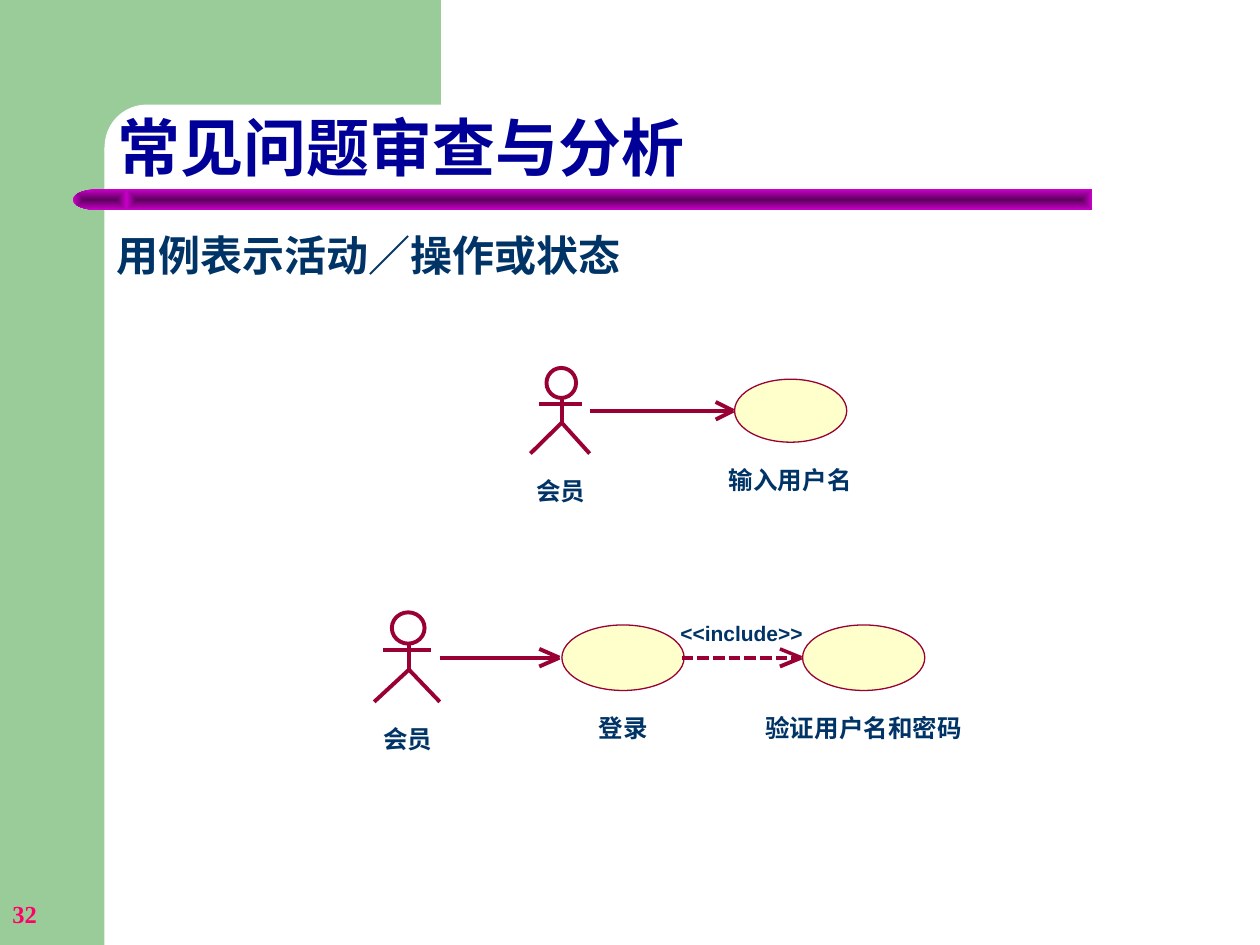
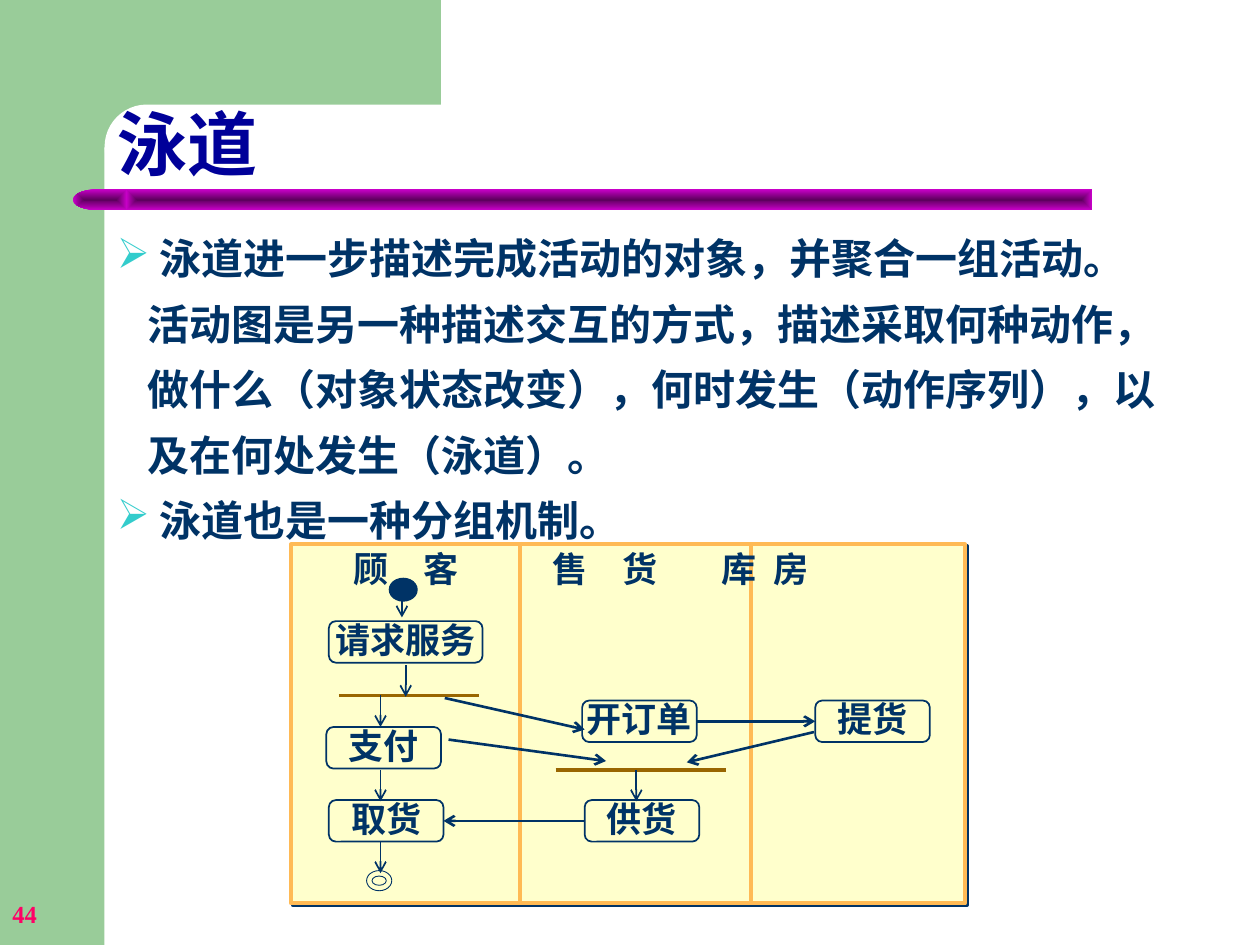
from lxml import etree
from pptx import Presentation
from pptx.dml.color import RGBColor
from pptx.enum.dml import MSO_LINE
from pptx.enum.shapes import MSO_CONNECTOR, MSO_SHAPE
from pptx.enum.text import MSO_ANCHOR, MSO_AUTO_SIZE, PP_ALIGN
from pptx.oxml import parse_xml
from pptx.oxml.ns import nsdecls, qn
from pptx.util import Inches, Pt

RECT, ROUND = MSO_SHAPE.RECTANGLE, MSO_SHAPE.ROUNDED_RECTANGLE
OVAL, DONUT = MSO_SHAPE.OVAL, MSO_SHAPE.DONUT
DELAY = MSO_SHAPE.FLOWCHART_DELAY
STRAIGHT = MSO_CONNECTOR.STRAIGHT
DASH = MSO_LINE.SQUARE_DOT
TOP, MID, LOW = MSO_ANCHOR.TOP, MSO_ANCHOR.MIDDLE, MSO_ANCHOR.BOTTOM
LEFT, CENTER = PP_ALIGN.LEFT, PP_ALIGN.CENTER
FIXED = MSO_AUTO_SIZE.NONE

COLORS = {
    "green": "99CC99", "white": "FFFFFF", "title": "000099", "ink": "003366",
    "page": "FF0066", "dark": "5E005E", "violet": "CC00CC", "mark": "33CCCC",
    "uml": "990033", "cream": "FFFFCC", "lane": "FFBA55", "bar": "996600",
}
HAN, HAN_TITLE = "Noto Sans CJK SC", "Noto Sans CJK JP"
LATIN, SERIF = "Arial", "Times New Roman"


def rgb(name):
    return RGBColor.from_string(COLORS[name])


# Basic parts
def shape(slide, kind, box, fill=None, line=None, width=0, adj=None):
    part = slide.shapes.add_shape(kind, *map(Inches, box))
    if adj is not None:
        part.adjustments[0] = adj
    paint(part, fill, line, width)
    return part


def paint(part, fill, line, width):
    part.shadow.inherit = False
    if fill:
        part.fill.solid()
        part.fill.fore_color.rgb = rgb(fill)
    else:
        part.fill.background()
    if line:
        part.line.color.rgb = rgb(line)
        part.line.width = Pt(width)
    else:
        part.line.fill.background()


def link(slide, start, end, color, width, head=False, dash=None):
    wire = slide.shapes.add_connector(STRAIGHT, *map(Inches, (*start, *end)))
    wire.line.color.rgb = rgb(color)
    wire.line.width = Pt(width)
    if dash:
        wire.line.dash_style = dash
    if head:
        tail = etree.SubElement(wire.line._get_or_add_ln(), qn("a:tailEnd"))
        tail.set("type", "arrow")
    etree.SubElement(wire._element.spPr, qn("a:effectLst"))
    return wire


def frame(part, anchor=TOP, pads=(0, 0, 0, 0), wrap=False):
    body = part.text_frame
    values = {"auto_size": FIXED, "word_wrap": wrap, "vertical_anchor": anchor}
    sides = ("left", "top", "right", "bottom")
    values |= {f"margin_{side}": Inches(pad) for side, pad in zip(sides, pads)}
    for name, value in values.items():
        setattr(body, name, value)
    return body


def write(para, words, size, font=HAN, color="ink", gap=1.0, align=LEFT):
    for name, value in {"line_spacing": gap, "alignment": align}.items():
        setattr(para, name, value)
    run = para.add_run()
    run.text = words
    for name, value in {"size": Pt(size), "name": font, "bold": True}.items():
        setattr(run.font, name, value)
    run.font.color.rgb = rgb(color)
    han = font if font == HAN_TITLE else HAN
    etree.SubElement(run.font._element, qn("a:ea")).set("typeface", han)


def label(slide, box, words, size, font=HAN, color="ink", lead=1.3, **style):
    part = slide.shapes.add_textbox(*map(Inches, box))
    para = frame(part, **style).paragraphs[0]
    write(para, words, size, font, color, Pt(size * lead))
    return para


# Shared frame: corner bands, page number, rule, title
def rule(slide, x, y):
    fill = (f'<a:gradFill {nsdecls("a")}><a:gsLst>'
            f'<a:gs pos="0"><a:srgbClr val="{COLORS["dark"]}"/></a:gs>'
            f'<a:gs pos="100000"><a:srgbClr val="{COLORS["violet"]}"/></a:gs>'
            '</a:gsLst><a:path path="rect"><a:fillToRect l="50000" t="50000" '
            'r="50000" b="50000"/></a:path></a:gradFill>')
    bar = shape(slide, ROUND, (x + 0.42, y, 7.67, 0.17), adj=0)
    cap = shape(slide, DELAY, (x, y, 0.43, 0.17))
    cap._element.spPr.find(qn("a:xfrm")).set("flipH", "1")
    for part in (bar, cap):
        props = part._element.spPr
        props.replace(props.find(qn("a:noFill")), parse_xml(fill))


def base(deck, title, size, font, page):
    slide = deck.slides.add_slide(deck.slide_layouts[5])
    shape(slide, RECT, (0, 0, 0.83, 7.5), "green")
    shape(slide, RECT, (0.75, 0, 2.75, 1.17), "green")
    shape(slide, ROUND, (0.83, 0.83, 5.58, 0.67), "white", adj=0.5)
    label(slide, (0, 7.01, 2.08, 0.5), page, 14, SERIF, "page", 1.15,
          anchor=MID, pads=(0.1, 0.05, 0.1, 0.05))
    rule(slide, 0.58, 1.5)
    head = slide.shapes.title
    head._element.getparent().append(head._element)
    spots = {"left": 0.83, "top": 0.86, "width": 8.5, "height": 0.63}
    for name, value in spots.items():
        setattr(head, name, Inches(value))
    body = frame(head, LOW, (0.1, 0.05, 0.1, 0.02), True)
    write(body.paragraphs[0], title, size, font, "title", 0.9)
    return slide


# Use case parts
def actor(slide, x, y, w, h):
    def spot(across, down):
        return x + across * w, y + down * h

    shape(slide, OVAL, (*spot(0.27, 0), 0.5 * w, 0.35 * h), None, "uml", 2.25)
    link(slide, spot(0.53, 0.34), spot(0.53, 0.64), "uml", 0)
    link(slide, spot(0.14, 0.42), spot(0.87, 0.42), "uml", 2.25)
    foot, hip, toe = [tuple(map(Inches, spot(*at)))
                      for at in ((0, 1), (0.53, 0.64), (1, 1))]
    pen = slide.shapes.build_freeform(*foot)
    pen.add_line_segments([hip, toe], close=False)
    paint(pen.convert_to_shape(), None, "uml", 2.25)
    label(slide, (x + w / 2 - 0.19, y + h + 0.16, 0.39, 0.23), "会员", 14)


def arrow(slide, x, y, w, barb, upper=2.25, dash=None):
    tip = (x + w, y)
    link(slide, (x, y), tip, "uml", 2.25, dash=dash)
    for rise, width in ((0.07, 2.25), (-0.07, upper)):
        link(slide, tip, (x + w - barb, y + rise), "uml", width)


def case(slide, x, y, w, h, words, wide):
    shape(slide, OVAL, (x, y, w, h), "cream", "uml")
    label(slide, (x + (w - wide) / 2, y + h + 0.16, wide, 0.23), words, 14)


def login(slide, x, y):
    actor(slide, x, y, 0.52, 0.71)
    arrow(slide, x + 0.52, y + 0.36, 0.95, 0.16)
    case(slide, x + 1.49, y + 0.1, 0.97, 0.52, "登录", 0.39)
    arrow(slide, x + 2.44, y + 0.36, 0.95, 0.17, 0, DASH)
    case(slide, x + 3.4, y + 0.1, 0.97, 0.52, "验证用户名和密码", 1.56)
    label(slide, (x + 2.43, y + 0.07, 0.97, 0.2), "<<include>>", 12, LATIN,
          lead=1.15)


def entry(slide, x, y):
    actor(slide, x, y, 0.47, 0.68)
    arrow(slide, x + 0.47, y + 0.34, 1.14, 0.14)
    case(slide, x + 1.62, y + 0.09, 0.89, 0.5, "输入用户名", 0.98)


# Swimlane parts
def bullets(slide, box, lines):
    body = frame(slide.shapes.add_textbox(*map(Inches, box)),
                 pads=(0.1, 0.05, 0.1, 0.05), wrap=True)
    for i, words in enumerate(lines):
        para = body.add_paragraph() if i else body.paragraphs[0]
        props = para._p.get_or_add_pPr()
        props.set("marL", str(Inches(0.24)))
        props.set("indent", str(-Inches(0.24)))
        tint = etree.SubElement(props, qn("a:buClr"))
        etree.SubElement(tint, qn("a:srgbClr")).set("val", COLORS["mark"])
        etree.SubElement(props, qn("a:buChar")).set("char", "➢")
        write(para, words, 24, gap=Pt(37.4))


def heads(slide, box):
    para = label(slide, box, "顾　客\t售　货\t库\t房", 20,
                 pads=(0.1, 0.05, 0.1, 0.05), wrap=True)
    tabs = etree.SubElement(para._p.get_or_add_pPr(), qn("a:tabLst"))
    for stop in (1.58, 2.92, 3.33):
        tab = etree.SubElement(tabs, qn("a:tab"))
        tab.set("pos", str(Inches(stop)))
        tab.set("algn", "l")


def lanes(slide, x, y, w, h):
    def spot(across, down):
        return x + across, y + down

    # Panel with a hard shadow, dividers, headings
    panel = shape(slide, RECT, (x, y, w, h), "cream", "lane", 2.25)
    cast = etree.SubElement(panel._element.spPr.find(qn("a:effectLst")),
                            qn("a:outerShdw"))
    for name, value in {"dist": Pt(1.4), "dir": 45 * 60000}.items():
        cast.set(name, str(value))
    etree.SubElement(cast, qn("a:srgbClr")).set("val", COLORS["ink"])
    for left, top in ((1.82, -0.02), (3.65, 0)):
        link(slide, spot(left, top), spot(left, top + h), "lane", 2.25)
    heads(slide, (*spot(0.4, -0.05), 4.97, 0.4))

    # Activities
    steps = {}
    for words, left, top, wide in (
            ("请求服务", 0.3, 0.61, 1.22), ("支付", 0.28, 1.45, 0.91),
            ("取货", 0.3, 2.03, 0.91), ("提货", 4.16, 1.24, 0.91),
            ("开订单", 2.31, 1.24, 0.91), ("供货", 2.33, 2.03, 0.91)):
        step = shape(slide, ROUND, (*spot(left, top), wide, 0.33),
                     None, "ink", 1, 0.17)
        body = frame(step, MID, (0.1, 0.05, 0.1, 0.05))
        write(body.paragraphs[0], words, 20, gap=0.9, align=CENTER)
        steps[words] = step

    # Fork and join bars
    for left, right, top in ((0.38, 1.49, 1.2), (2.1, 3.45, 1.79)):
        link(slide, spot(left, top), spot(right, top), "bar", 2.25)

    # Downward flow
    for left, top in ((0.88, 0.33), (0.91, 0.96), (0.71, 1.2), (0.71, 1.79),
                      (0.71, 2.36), (2.74, 1.79)):
        link(slide, spot(left, top), spot(left, top + 0.25), "ink", 1, True)

    # Flow across lanes
    for start, end in (((1.22, 1.22), (2.33, 1.47)),
                       ((1.25, 1.55), (2.5, 1.72)),
                       ((4.15, 1.49), (3.14, 1.73))):
        link(slide, spot(*start), spot(*end), "ink", 1.5, True)
    for source, goal, out, into in (("供货", "取货", 1, 3),
                                    ("开订单", "提货", 3, 1)):
        wire = link(slide, (x, y), (x, y), "ink", 1.5, True)
        wire.begin_connect(steps[source], out)
        wire.end_connect(steps[goal], into)

    # Start and end marks
    shape(slide, DONUT, (*spot(0.6, 2.59), 0.2, 0.16), None, "ink", 0.5, 0.27)
    shape(slide, OVAL, (*spot(0.78, 0.27), 0.22, 0.18), "ink", "ink", 0.75)


def cases(deck):
    slide = base(deck, "常见问题审查与分析", 36, HAN_TITLE, "32")
    label(slide, (0.83, 1.74, 9.1, 0.5), "用例表示活动／操作或状态", 24, SERIF,
          pads=(0.1, 0.05, 0.1, 0.05), wrap=True)
    entry(slide, 4.21, 2.92)
    login(slide, 2.97, 4.86)


def swim(deck):
    slide = base(deck, "泳道", 40, LATIN, "44")
    bullets(slide, (0.83, 1.68, 8.51, 2.7), (
        " 泳道进一步描述完成活动的对象，并聚合一组活动。活动图是另一种描述交互的方式，"
        "描述采取何种动作，做什么（对象状态改变），何时发生（动作序列），"
        "以及在何处发生（泳道）。",
        " 泳道也是一种分组机制。"))
    lanes(slide, 2.31, 4.32, 5.35, 2.85)


def main():
    deck = Presentation()
    deck.slide_width, deck.slide_height = Inches(10), Inches(7.5)
    cases(deck)
    swim(deck)
    deck.save("out.pptx")


if __name__ == "__main__":
    main()
